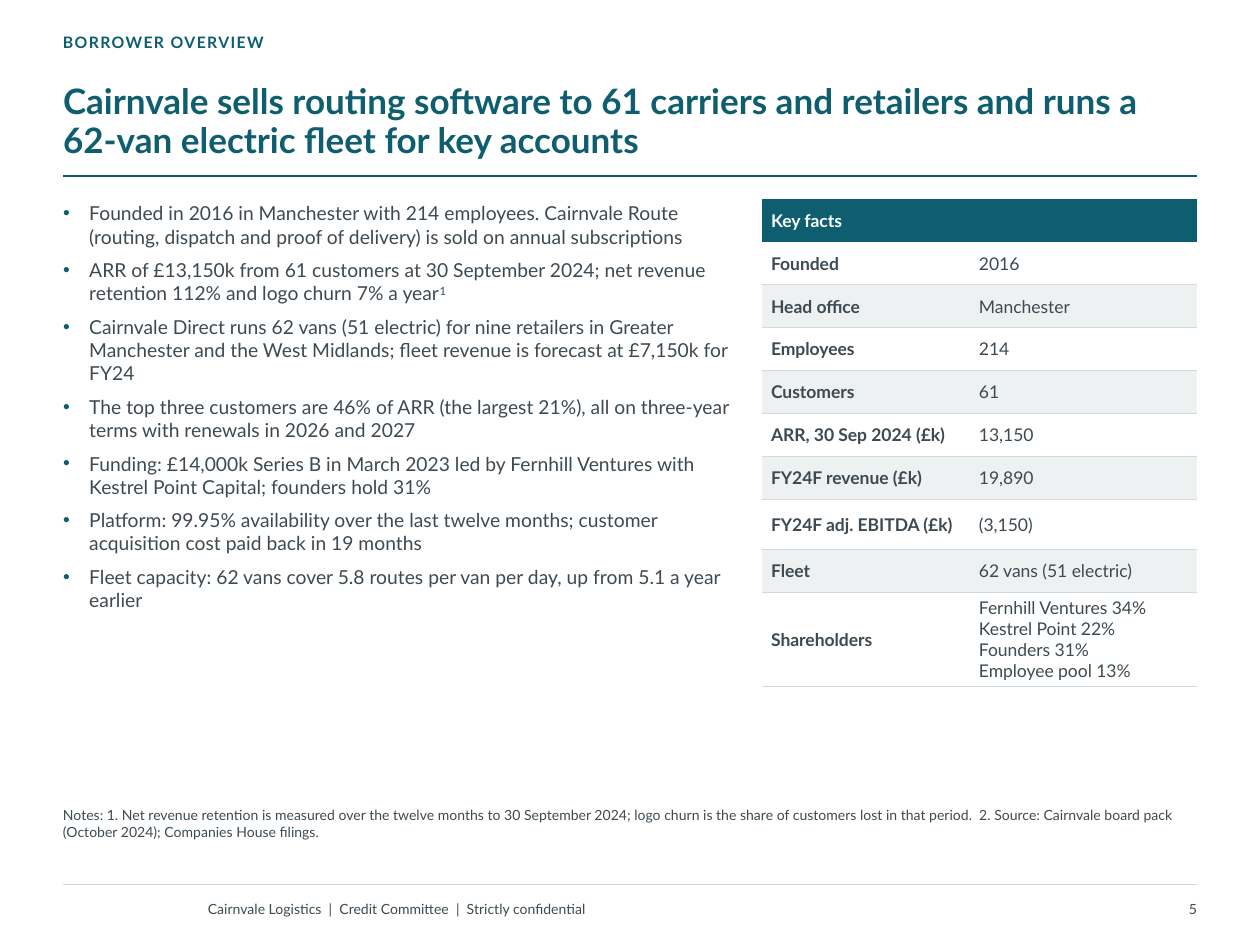
from lxml.etree import SubElement
from pptx import Presentation
from pptx.dml.color import RGBColor
from pptx.enum.shapes import MSO_CONNECTOR
from pptx.enum.text import MSO_ANCHOR, MSO_AUTO_SIZE, PP_ALIGN
from pptx.oxml import parse_xml
from pptx.oxml.ns import nsdecls, qn
from pptx.util import Pt

FONT = "Lato"
COLOURS = {"teal": "0E5E6F", "text": "3D4A52", "rule": "D3D9DC",
           "band": "EEF1F2", "white": "FFFFFF"}
LEFT, RIGHT = 36, 684
NO_STYLE = "{2D5ABB26-0587-4C30-8999-92F81FD0307C}"

# Each bullet is its text and, where there is one, its note mark.
BULLETS = [
    ("Founded in 2016 in Manchester with 214 employees. Cairnvale Route "
     "(routing, dispatch and proof of delivery) is sold on annual subscriptions", ""),
    ("ARR of £13,150k from 61 customers at 30 September 2024; net revenue "
     "retention 112% and logo churn 7% a year", "1"),
    ("Cairnvale Direct runs 62 vans (51 electric) for nine retailers in Greater "
     "Manchester and the West Midlands; fleet revenue is forecast at £7,150k for FY24", ""),
    ("The top three customers are 46% of ARR (the largest 21%), all on three-year "
     "terms with renewals in 2026 and 2027", ""),
    ("Funding: £14,000k Series B in March 2023 led by Fernhill Ventures with "
     "Kestrel Point Capital; founders hold 31%", ""),
    ("Platform: 99.95% availability over the last twelve months; customer "
     "acquisition cost paid back in 19 months", ""),
    ("Fleet capacity: 62 vans cover 5.8 routes per van per day, up from 5.1 a year "
     "earlier", ""),
]

# Label, value lines, row height
FACTS = [
    ("Founded", ["2016"], 24.5),
    ("Head office", ["Manchester"], 24.5),
    ("Employees", ["214"], 24.5),
    ("Customers", ["61"], 24.5),
    ("ARR, 30 Sep 2024 (£k)", ["13,150"], 24.5),
    ("FY24F revenue (£k)", ["19,890"], 24.5),
    ("FY24F adj. EBITDA (£k)", ["(3,150)"], 28.8),
    ("Fleet", ["62 vans (51 electric)"], 24.5),
    ("Shareholders", ["Fernhill Ventures 34%", "Kestrel Point 22%",
                      "Founders 31%", "Employee pool 13%"], 53.3),
]


def colour(name):
    return RGBColor.from_string(COLOURS[name])


def add_span(para, text, size, tint="text", bold=False):
    span = para.add_run()
    span.text = text
    span.font.name = FONT
    span.font.size = Pt(size)
    span.font.bold = bold
    span.font.color.rgb = colour(tint)
    return span


def frame_box(box, place, insets=(0, 0, 0, 0), anchor=MSO_ANCHOR.TOP):
    """Place a box and return its text frame, wrapped and without autofit."""
    box.left, box.top, box.width, box.height = map(Pt, place)
    frame = box.text_frame
    frame.word_wrap = True
    frame.auto_size = MSO_AUTO_SIZE.NONE
    frame.vertical_anchor = anchor
    (frame.margin_left, frame.margin_top,
     frame.margin_right, frame.margin_bottom) = map(Pt, insets)
    return frame


def add_label(page, place, text, size, tint="text", bold=False,
              anchor=MSO_ANCHOR.TOP, align=PP_ALIGN.LEFT):
    box = page.shapes.add_textbox(0, 0, 0, 0)
    para = frame_box(box, place, anchor=anchor).paragraphs[0]
    para.alignment = align
    return add_span(para, text, size, tint, bold)


def add_rule(page, top, tint, width):
    rule = page.shapes.add_connector(
        MSO_CONNECTOR.STRAIGHT, Pt(LEFT), Pt(top), Pt(RIGHT), Pt(top))
    rule.line.color.rgb = colour(tint)
    rule.line.width = Pt(width)
    SubElement(rule._element.spPr, qn("a:effectLst"))


def fill_title(page, text):
    frame = frame_box(page.shapes.title, (LEFT, 36, 648, 59), (0, 0, 0, 2.88),
                      MSO_ANCHOR.BOTTOM)
    para = frame.paragraphs[0]
    para.alignment = PP_ALIGN.LEFT
    para.line_spacing = 0.92
    add_span(para, text, 20, "teal", True)


def set_bullet(para):
    properties = para._p.get_or_add_pPr()
    properties.set("marL", str(Pt(15)))
    properties.set("indent", str(-Pt(15)))
    for xml in (f'<a:buClr {nsdecls("a")}><a:srgbClr val="{COLOURS["teal"]}"/></a:buClr>',
                f'<a:buFont {nsdecls("a")} typeface="Arial"/>',
                f'<a:buChar {nsdecls("a")} char="•"/>'):
        properties.append(parse_xml(xml))


def fill_bullets(box):
    frame = frame_box(box, (LEFT, 113.8, 385.2, 339.8), (0, 1.44, 3.6, 0))
    for index, (text, mark) in enumerate(BULLETS):
        para = frame.add_paragraph() if index else frame.paragraphs[0]
        set_bullet(para)
        para.space_before = Pt(6 if index else 0)
        add_span(para, text, 11)
        if mark:
            span = add_span(para, mark, 11)
            span._r.get_or_add_rPr().set("baseline", "30000")


def fill_cell(cell, lines, tint="text", bold=False, fill=None):
    cell.vertical_anchor = MSO_ANCHOR.MIDDLE
    cell.margin_left = cell.margin_right = Pt(5.04)
    cell.margin_top = cell.margin_bottom = Pt(2.88)
    if fill:
        cell.fill.solid()
        cell.fill.fore_color.rgb = colour(fill)
    else:
        cell.fill.background()
    for index, line in enumerate(lines):
        frame = cell.text_frame
        para = frame.add_paragraph() if index else frame.paragraphs[0]
        add_span(para, line, 10, tint, bold)


def underline_cell(cell):
    border = parse_xml(
        f'<a:lnB {nsdecls("a")} w="{Pt(0.5)}"><a:solidFill>'
        f'<a:srgbClr val="{COLOURS["rule"]}"/></a:solidFill></a:lnB>')
    cell._tc.get_or_add_tcPr().insert(0, border)


def add_facts(page):
    heights = [24.5] + [height for _, _, height in FACTS]
    table = page.shapes.add_table(len(heights), 2, Pt(435.6), Pt(113.8),
                                  Pt(248.4), Pt(sum(heights))).table
    table._tbl.tblPr.find(qn("a:tableStyleId")).text = NO_STYLE
    table.horz_banding = False
    for column, width in zip(table.columns, (118.8, 129.6)):
        column.width = Pt(width)
    for row, height in zip(table.rows, heights):
        row.height = Pt(height)

    header = table.cell(0, 0)
    header.merge(table.cell(0, 1))
    fill_cell(header, ["Key facts"], "white", True, "teal")
    for row, (label, values, _) in enumerate(FACTS, start=1):
        fill = "band" if row % 2 == 0 else None
        fill_cell(table.cell(row, 0), [label], bold=True, fill=fill)
        fill_cell(table.cell(row, 1), values, fill=fill)
        for column in range(2):
            underline_cell(table.cell(row, column))


def main():
    deck = Presentation()
    deck.slide_width, deck.slide_height = Pt(720), Pt(540)
    page = deck.slides.add_slide(deck.slide_layouts[1])

    add_rule(page, 505.4, "rule", 0.75)
    add_rule(page, 100.8, "teal", 1.25)
    kicker = add_label(page, (LEFT, 18.7, 504, 17.3), "BORROWER OVERVIEW", 9, "teal", True)
    kicker._r.get_or_add_rPr().set("spc", "80")
    fill_title(page, "Cairnvale sells routing software to 61 carriers and retailers "
                     "and runs a 62-van electric fleet for key accounts")
    fill_bullets(page.placeholders[1])
    add_facts(page)
    add_label(page, (LEFT, 460.8, 648, 41.8),
              "Notes: 1. Net revenue retention is measured over the twelve months to "
              "30 September 2024; logo churn is the share of customers lost in that "
              "period.  2. Source: Cairnvale board pack (October 2024); Companies House "
              "filings.", 8)
    add_label(page, (118.8, 509.8, 403.2, 18.7),
              "Cairnvale Logistics  |  Credit Committee  |  Strictly confidential", 8,
              anchor=MSO_ANCHOR.MIDDLE)
    add_label(page, (612, 509.8, 72, 18.7), "5", 8,
              anchor=MSO_ANCHOR.MIDDLE, align=PP_ALIGN.RIGHT)
    deck.save("out.pptx")


if __name__ == "__main__":
    main()
